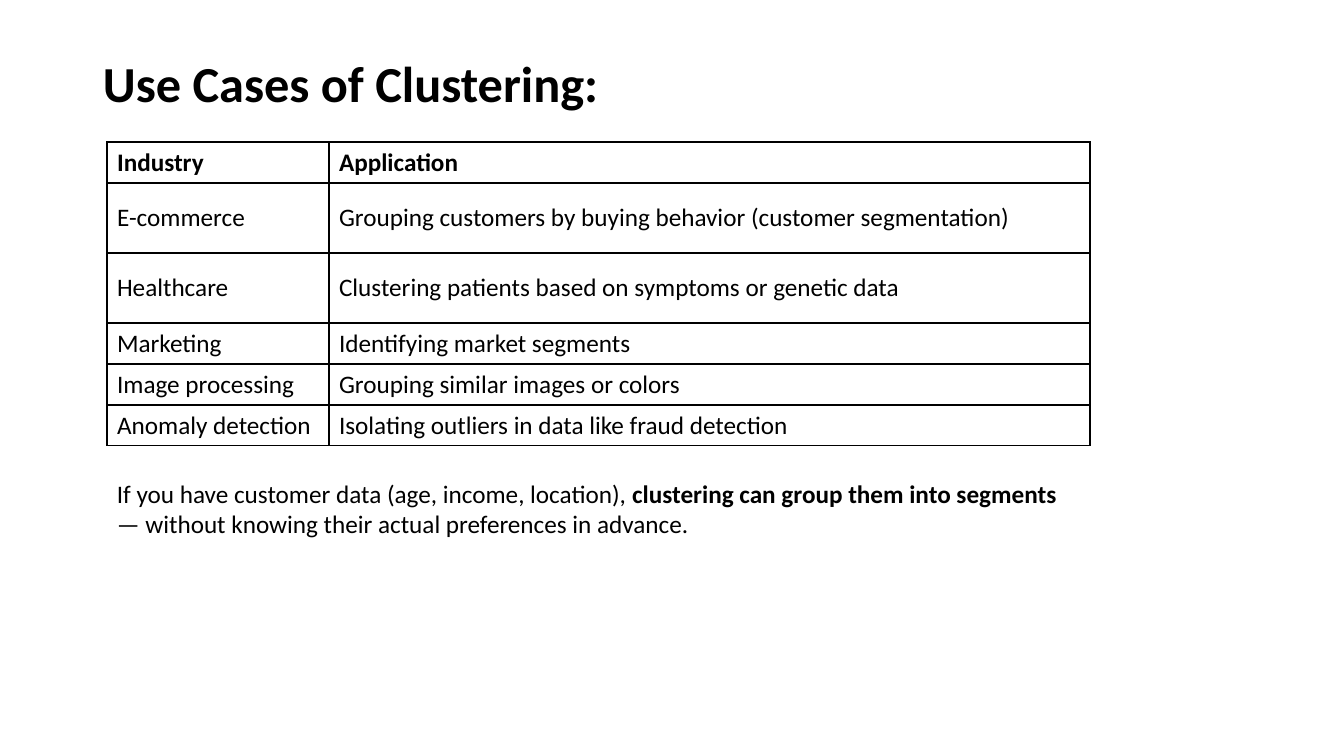
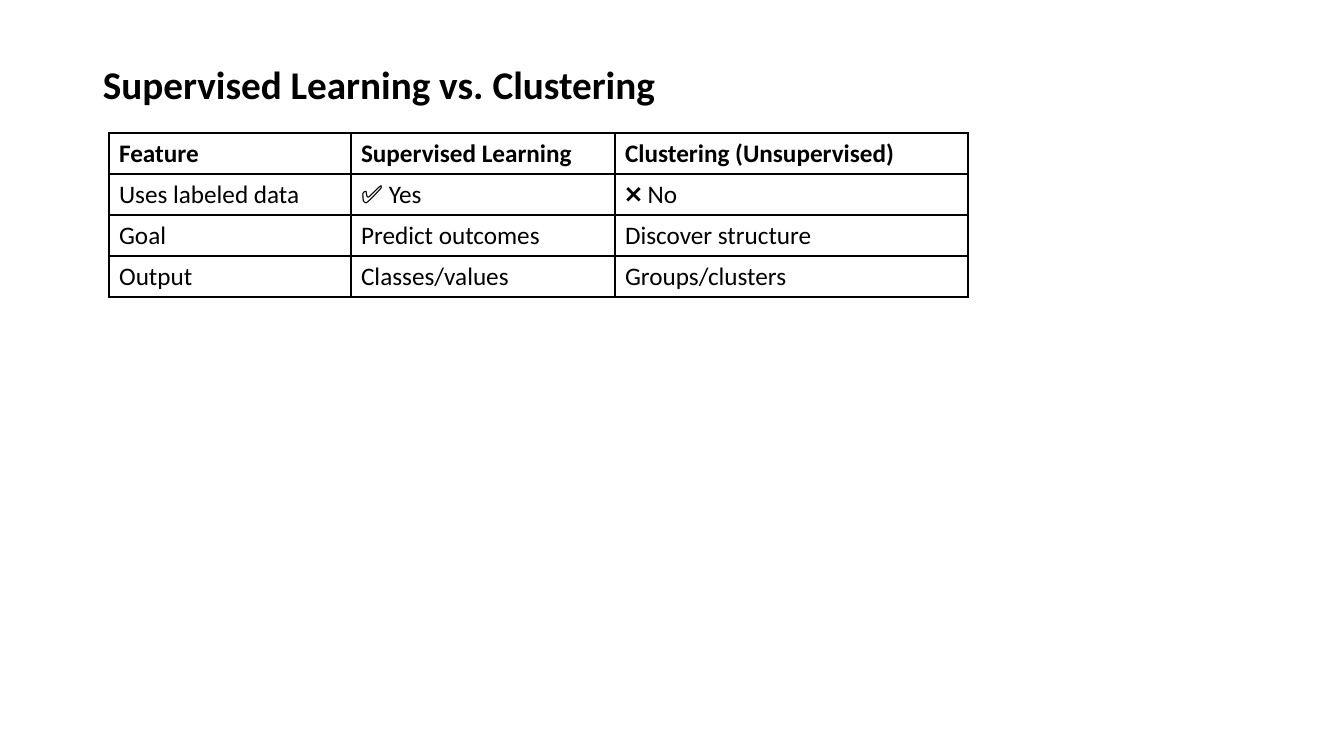
from lxml import etree
from pptx import Presentation
from pptx.dml.color import RGBColor
from pptx.enum.text import MSO_ANCHOR, MSO_AUTO_SIZE
from pptx.oxml.ns import qn
from pptx.util import Pt

MIDDLE = MSO_ANCHOR.MIDDLE
GROW = MSO_AUTO_SIZE.SHAPE_TO_FIT_TEXT
EMU_PER_PX = 914400 / 100.8
FONT = "Calibri"
BLACK = "000000"
BORDER_WIDTH = Pt(1)


def px(*lengths):
    return [round(length * EMU_PER_PX) for length in lengths]


def write(frame, text, size=18, bold=False, color=BLACK, spacing=None, emphasis=""):
    paragraph = frame.paragraphs[0]
    paragraph.line_spacing = spacing
    before, strong, after = text.partition(emphasis) if emphasis else (text, "", "")
    for part, is_bold in ((before, bold), (strong, True), (after, bold)):
        if part:
            run = paragraph.add_run()
            run.text = part
            run.font.name = FONT
            run.font.size = Pt(size)
            run.font.bold = is_bold
            run.font.color.rgb = RGBColor.from_string(color)


pages = [
    {
        "title": "Use Cases of Clustering:",
        "title_size": 36,
        "corner": (107, 142),
        "columns": (222, 761),
        "rows": (41, 70, 70, 41, 41, 41),
        "cells": [
            ("Industry", "Application"),
            ("E-commerce", "Grouping customers by buying behavior (customer segmentation)"),
            ("Healthcare", "Clustering patients based on symptoms or genetic data"),
            ("Marketing", "Identifying market segments"),
            ("Image processing", "Grouping similar images or colors"),
            ("Anomaly detection", "Isolating outliers in data like fraud detection"),
        ],
        "summary": "If you have customer data (age, income, location), "
                   "clustering can group them into segments"
                   " — without knowing their actual preferences in advance.",
        "emphasis": "clustering can group them into segments",
    },
    {
        "title": "Supervised Learning vs. Clustering",
        "title_size": 28,
        "corner": (109, 133),
        "columns": (242, 264, 353),
        "rows": (41, 41, 41, 41),
        "cells": [
            ("Feature", "Supervised Learning", "Clustering (Unsupervised)"),
            ("Uses labeled data", "✅ Yes", "❌ No"),
            ("Goal", "Predict outcomes", "Discover structure"),
            ("Output", "Classes/values", "Groups/clusters"),
        ],
    },
]

deck = Presentation()
deck.slide_width, deck.slide_height = px(1344, 756)
blank = deck.slide_layouts[6]

for page in pages:
    slide = deck.slides.add_slide(blank)

    title = slide.shapes.add_textbox(*px(93, 40, 1159, 93)).text_frame
    title.word_wrap = True
    title.vertical_anchor = MIDDLE
    write(title, page["title"], size=page["title_size"], bold=True, spacing=0.9)

    widths, heights = page["columns"], page["rows"]
    table = slide.shapes.add_table(
        len(heights), len(widths), *px(*page["corner"], sum(widths), sum(heights))
    ).table
    table.first_row = False
    table.horz_banding = False
    for column, width in zip(table.columns, px(*widths)):
        column.width = width
    for row, height in zip(table.rows, px(*heights)):
        row.height = height

    for row_index, texts in enumerate(page["cells"]):
        for column_index, text in enumerate(texts):
            cell = table.cell(row_index, column_index)
            cell.vertical_anchor = MIDDLE
            cell.fill.background()
            write(cell.text_frame, text, bold=row_index == 0)
            properties = cell._tc.get_or_add_tcPr()
            for position, side in enumerate(("a:lnL", "a:lnR", "a:lnT", "a:lnB")):
                border = etree.Element(qn(side), w=str(BORDER_WIDTH))
                fill = etree.SubElement(border, qn("a:solidFill"))
                etree.SubElement(fill, qn("a:srgbClr"), val=BLACK)
                properties.insert(position, border)

    if "summary" in page:
        summary = slide.shapes.add_textbox(*px(107, 473, 971, 72)).text_frame
        summary.word_wrap = True
        summary.auto_size = GROW
        write(summary, page["summary"], emphasis=page["emphasis"])

deck.save("out.pptx")
